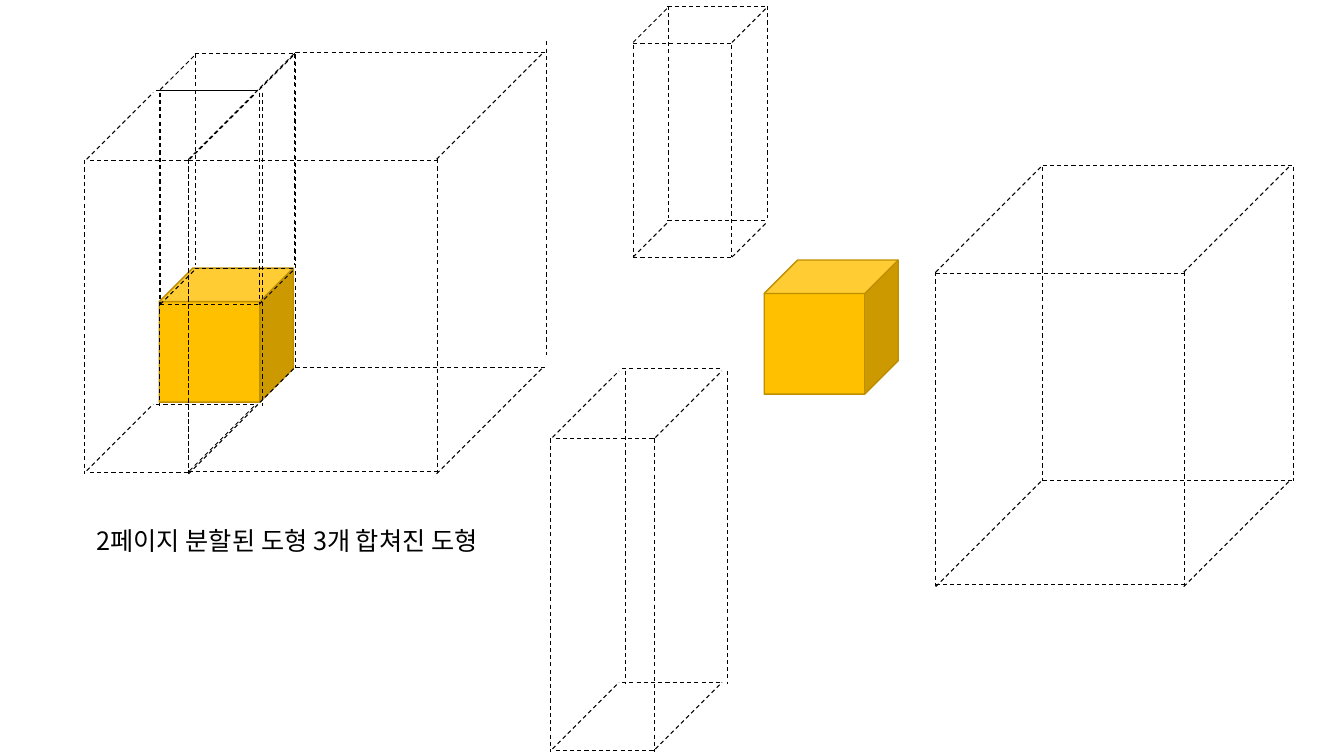
from dataclasses import dataclass

from lxml.etree import SubElement
from pptx import Presentation
from pptx.dml.color import RGBColor
from pptx.enum.dml import MSO_LINE
from pptx.enum.shapes import MSO_CONNECTOR, MSO_SHAPE
from pptx.enum.text import MSO_AUTO_SIZE
from pptx.oxml.ns import qn
from pptx.util import Inches, Pt

CAPTION = "2페이지 분할된 도형 3개 합쳐진 도형"
CAPTION_BOX = (0.86, 5.16, 4.55, 0.4)

CUBE_SIZE = 1.33
CUBES = [(7.58, 2.58), (1.58, 2.66)]

# Frames stand in their separate places; "joined" moves each to the assembled solid.
# Levels and uprights start at left/top, slants at their lower left end.
FRAMES = [
    {
        "joined": (-7.41, -1.12),
        "width": 2.49, "height": 3.11, "depth": 1.06,
        "levels": [(10.34, 1.64), (9.28, 2.71), (10.34, 4.77), (9.28, 5.80)],
        "uprights": [(12.83, 1.66), (11.75, 2.70), (10.34, 1.66), (9.28, 2.70)],
        "slants": [(9.28, 2.70), (11.74, 2.70), (9.28, 5.82), (11.74, 5.82)],
        "raised_when_joined": {(12.83, 1.66): 0.13},
    },
    {
        "joined": (-4.69, 0.47),
        "width": 0.98, "height": 2.10, "depth": 0.34,
        "levels": [(6.28, 0.43), (6.62, 0.06), (6.28, 2.55), (6.62, 2.19)],
        "uprights": [(6.28, 0.45), (7.26, 0.45), (6.63, 0.06), (7.61, 0.06)],
        "slants": [(6.28, 0.42), (7.26, 0.42), (6.28, 2.55), (7.26, 2.55)],
    },
    {
        "joined": (-4.62, -2.76),
        "width": 0.99, "height": 3.11, "depth": 0.66,
        "levels": [(5.51, 4.35), (6.17, 3.66), (5.51, 7.45), (6.17, 6.77)],
        "uprights": [(7.22, 3.68), (6.49, 4.35), (6.20, 3.68), (5.46, 4.35)],
        "slants": [(5.48, 4.34), (6.50, 4.34), (5.48, 7.43), (6.50, 7.43)],
    },
]


@dataclass(frozen=True)
class Theme:
    cube: RGBColor = RGBColor.from_string("FFC000")
    cube_edge: RGBColor = RGBColor.from_string("BD8E00")
    ink: RGBColor = RGBColor.from_string("000000")
    font: str = "Noto Sans CJK KR"
    caption_size: float = 18
    cube_line: float = 1
    frame_line: float = 0.75


THEME = Theme()


def set_format(target, values):
    for name, value in values.items():
        setattr(target, name, value)


def add_cube(slide, left, top):
    size = Inches(CUBE_SIZE)
    cube = slide.shapes.add_shape(MSO_SHAPE.CUBE, Inches(left), Inches(top), size, size)
    cube.shadow.inherit = False
    cube.fill.solid()
    cube.fill.fore_color.rgb = THEME.cube
    cube.line.color.rgb = THEME.cube_edge
    cube.line.width = Pt(THEME.cube_line)


def add_edge(slide, x, y, run, drop):
    edge = slide.shapes.add_connector(
        MSO_CONNECTOR.STRAIGHT, Inches(x), Inches(y), Inches(x + run), Inches(y + drop))
    edge.line.color.rgb = THEME.ink
    set_format(edge.line, {"width": Pt(THEME.frame_line), "dash_style": MSO_LINE.DASH})
    SubElement(edge._element.spPr, qn("a:effectLst"))


def add_frame(slide, frame, shift=(0, 0), raised=None):
    """Draw the twelve edges; raised lifts single uprights by a given length."""
    raised = raised or {}
    vectors = {
        "levels": (frame["width"], 0),
        "uprights": (0, frame["height"]),
        "slants": (frame["depth"], -frame["depth"]),
    }
    for kind, vector in vectors.items():
        for start in frame[kind]:
            lift = raised.get(start, 0) if kind == "uprights" else 0
            add_edge(slide, start[0] + shift[0], start[1] + shift[1] - lift, *vector)


def add_caption(slide):
    box = slide.shapes.add_textbox(*map(Inches, CAPTION_BOX))
    set_format(box.text_frame, {"word_wrap": False, "auto_size": MSO_AUTO_SIZE.SHAPE_TO_FIT_TEXT})
    span = box.text_frame.paragraphs[0].add_run()
    span.text = CAPTION
    set_format(span.font, {"name": THEME.font, "size": Pt(THEME.caption_size)})
    span.font.color.rgb = THEME.ink
    SubElement(span.font._element, qn("a:ea"), typeface=THEME.font)


def main():
    deck = Presentation()
    set_format(deck, {"slide_width": Inches(13.33), "slide_height": Inches(7.5)})
    blank_layout = deck.slide_layouts[6]
    slide = deck.slides.add_slide(blank_layout)
    for corner in CUBES:
        add_cube(slide, *corner)
    for frame in FRAMES:
        add_frame(slide, frame, frame["joined"], frame.get("raised_when_joined"))
        add_frame(slide, frame)
    add_caption(slide)
    deck.save("out.pptx")


if __name__ == "__main__":
    main()
